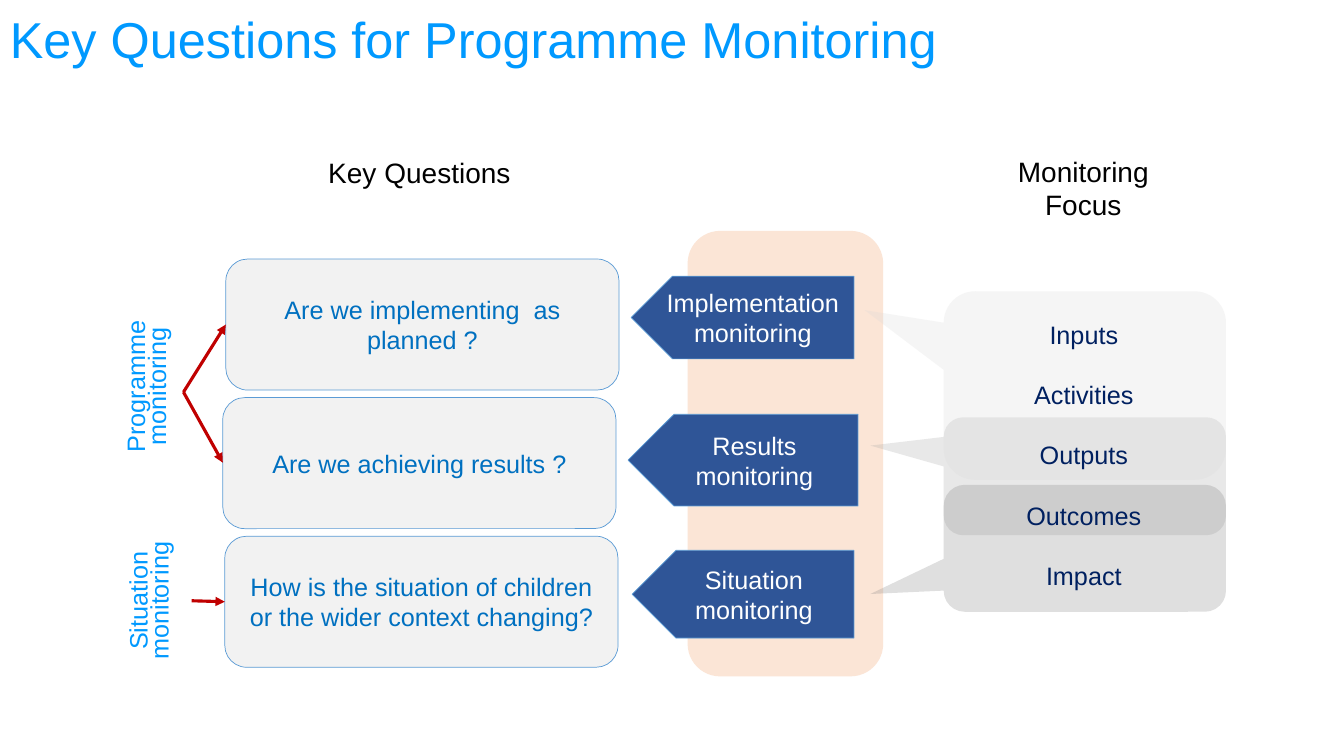
from lxml import etree
from pptx import Presentation
from pptx.dml.color import RGBColor
from pptx.enum.shapes import MSO_CONNECTOR, MSO_SHAPE
from pptx.enum.text import MSO_ANCHOR, PP_ALIGN
from pptx.oxml.ns import qn
from pptx.util import Pt

ROUND = MSO_SHAPE.ROUNDED_RECTANGLE
ARROW = MSO_SHAPE.PENTAGON
CALLOUT = MSO_SHAPE.ROUNDED_RECTANGULAR_CALLOUT
STRAIGHT = MSO_CONNECTOR.STRAIGHT
LEFT, CENTER = PP_ALIGN.LEFT, PP_ALIGN.CENTER
TOP, MIDDLE = MSO_ANCHOR.TOP, MSO_ANCHOR.MIDDLE

TITLE = "Key Questions for Programme Monitoring"
HEADINGS = [
    (["Key Questions"], (250, 149, 332, 44)),
    (["Monitoring", "Focus"], (951, 148, 247, 77)),
]
ROWS = [
    ("Are we implementing  as planned ?", 224,
     "Implementation monitoring", (626, 274, 221, 82)),
    ("Are we achieving results ?", 221,
     "Results monitoring", (623, 411, 228, 91)),
    ("How is the situation of children or the wider context changing?", 223,
     "Situation monitoring", (627, 546, 220, 87)),
]
QUESTION_TOP, QUESTION_STEP = 257, 137.5
QUESTION_W, QUESTION_H = 390, 130
BAND = (682, 229, 194, 442)
FOCUS = ["Inputs", "Activities", "Outputs", "Outcomes", "Impact"]
FOCUS_BOX = (980, 230, 190, 442)
CALLOUT_X, CALLOUT_W = 936, 280
CALLOUTS = [
    (414, 117, -0.76, -0.26, "results"),
    (289, 187, -0.78, -0.4, "implementation"),
    (481, 126, -0.76, 0.36, "situation"),
]
GROUPS = [
    ("Programme monitoring", (117, 301, 64, 165)),
    ("Situation monitoring", (113, 502, 77, 188)),
]
LINKS = [
    ((182, 389), (224, 322)),
    ((182, 389), (221, 459)),
    ((190, 596), (223, 597)),
]

THEME = {
    "font": "Arial", "title": "0099FF", "heading": "000000",
    "question": "0070C0", "question_fill": "F2F2F2", "outline": "5B9BD5",
    "arrow": "2F5597", "arrow_text": "FFFFFF", "band": "FBE5D6",
    "focus": "002060", "link": "C00000",
    "results": "A6A6A6", "implementation": "D9D9D9", "situation": "808080",
    "title_size": 36, "heading_size": 20, "body_size": 18,
    "alpha": 25000, "outline_width": 0.5, "link_width": 2.25,
}
PX = 9144


def emu(*lengths):
    return [round(v * PX) for v in lengths]


def rgb(name):
    return RGBColor.from_string(THEME[name])


def write(sp, lines, color, size="body_size", align=CENTER, anchor=MIDDLE,
          spacing=None, before=0):
    tf = sp.text_frame
    tf.word_wrap = True
    tf.vertical_anchor = anchor
    tf.text = "\n".join(lines)
    for i, p in enumerate(tf.paragraphs):
        p.alignment = align
        if spacing:
            p.line_spacing = spacing
        if i and before:
            p.space_before = Pt(before)
        for r in p.runs:
            r.font.name = THEME["font"]
            r.font.size = Pt(THEME[size])
            r.font.color.rgb = rgb(color)
    return tf


def add_text(s, box, lines, color, **style):
    return write(s.shapes.add_textbox(*emu(*box)), lines, color, **style)


def add_box(s, kind, box, fill=None, line=None):
    sp = s.shapes.add_shape(kind, *emu(*box))
    sp.shadow.inherit = False
    if fill:
        sp.fill.solid()
        sp.fill.fore_color.rgb = rgb(fill)
    else:
        sp.fill.background()
    if line:
        sp.line.color.rgb = rgb(line)
        sp.line.width = Pt(THEME["outline_width"])
    else:
        sp.line.fill.background()
    return sp


def add_callout(s, top, height, tip_x, tip_y, fill):
    sp = add_box(s, CALLOUT, (CALLOUT_X, top, CALLOUT_W, height), fill)
    sp.adjustments[0] = tip_x
    sp.adjustments[1] = tip_y
    color = sp._element.spPr.find(qn("a:solidFill"))[0]
    etree.SubElement(color, qn("a:alpha"), val=str(THEME["alpha"]))


def add_link(s, start, end):
    link = s.shapes.add_connector(STRAIGHT, *emu(*start, *end))
    link.line.color.rgb = rgb("link")
    link.line.width = Pt(THEME["link_width"])
    etree.SubElement(link.line._get_or_add_ln(), qn("a:tailEnd"), type="triangle")
    etree.SubElement(link._element.spPr, qn("a:effectLst"))


def main():
    prs = Presentation()
    prs.slide_width, prs.slide_height = emu(1333, 750)
    s = prs.slides.add_slide(prs.slide_layouts[6])

    add_text(s, (0, 0, 1333, 84), [TITLE], "title", size="title_size",
             align=LEFT, spacing=0.9)
    add_box(s, ROUND, BAND, "band")

    for i, (question, left, kind, arrow_box) in enumerate(ROWS):
        top = QUESTION_TOP + i * QUESTION_STEP
        sp = add_box(s, ROUND, (left, top, QUESTION_W, QUESTION_H),
                     "question_fill", "outline")
        write(sp, [question], "question")
        arrow = add_box(s, ARROW, arrow_box, "arrow", "outline")
        arrow._element.spPr.find(qn("a:xfrm")).set("flipH", "1")
        write(arrow, [kind], "arrow_text")

    for lines, box in HEADINGS:
        add_text(s, box, lines, "heading", size="heading_size", anchor=TOP)

    for callout in CALLOUTS:
        add_callout(s, *callout)
    add_text(s, FOCUS_BOX, FOCUS, "focus", before=21.5)

    for label, box in GROUPS:
        tf = write(add_box(s, ROUND, box), [label], "title", spacing=Pt(15))
        tf._txBody.find(qn("a:bodyPr")).set("vert", "vert270")
    for start, end in LINKS:
        add_link(s, start, end)

    prs.save("out.pptx")


if __name__ == "__main__":
    main()
